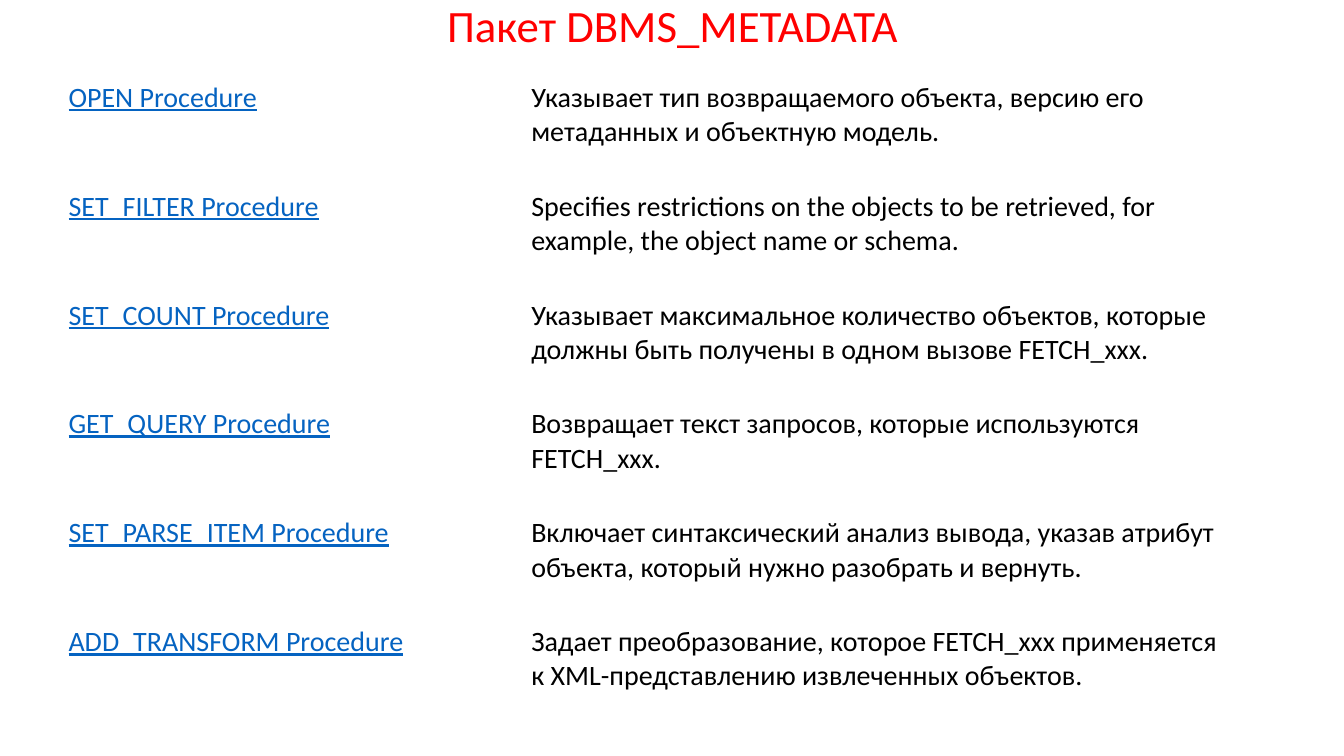
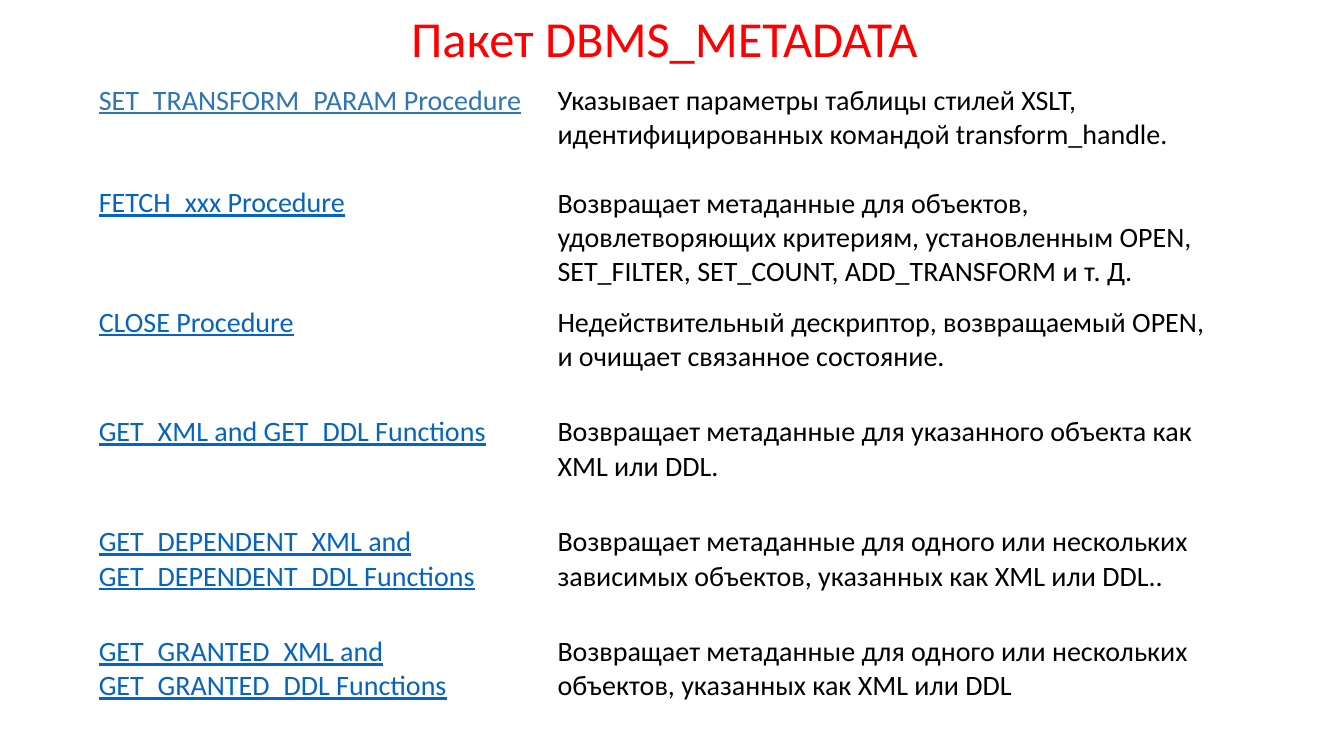
from pptx import Presentation
from pptx.dml.color import RGBColor
from pptx.enum.text import MSO_ANCHOR, MSO_AUTO_SIZE, PP_ALIGN
from pptx.util import Inches, Pt

# Shared look
FONT = "Calibri"
TITLE = "Пакет DBMS_METADATA"
RED, LINK, STEEL, BLACK, WHITE = "FF0000", "0563C1", "2E75B6", "000000", "FFFFFF"
BODY_SIZE = 20
LINE = 24.4  # height of one body line in points
CELL_MARGIN = Inches(0.02)

# Table contents: a cell is one text or a list of paragraphs
OPENING_ROWS = [
    ("OPEN Procedure",
     "Указывает тип возвращаемого объекта, версию его метаданных и объектную модель."),
    ("SET_FILTER Procedure",
     "Specifies restrictions on the objects to be retrieved, for example, "
     "the object name or schema."),
    ("SET_COUNT Procedure",
     "Указывает максимальное количество объектов, которые должны быть получены "
     "в одном вызове FETCH_xxx."),
    ("GET_QUERY Procedure",
     "Возвращает текст запросов, которые используются FETCH_xxx."),
    ("SET_PARSE_ITEM Procedure",
     "Включает синтаксический анализ вывода, указав атрибут объекта, "
     "который нужно разобрать и вернуть."),
    ("ADD_TRANSFORM Procedure",
     "Задает преобразование, которое FETCH_xxx применяется "
     "к XML-представлению извлеченных объектов."),
]
FETCHING_ROWS = [
    (["SET_TRANSFORM_PARAM Procedure", "FETCH_xxx Procedure"],
     ["Указывает параметры таблицы стилей XSLT, идентифицированных "
      "командой transform_handle.",
      "Возвращает метаданные для объектов, удовлетворяющих критериям, установленным "
      "OPEN, SET_FILTER, SET_COUNT, ADD_TRANSFORM и т. Д."]),
    ("CLOSE Procedure",
     "Недействительный дескриптор, возвращаемый OPEN, и очищает связанное состояние."),
    ("GET_XML and GET_DDL Functions",
     "Возвращает метаданные для указанного объекта как XML или DDL."),
    ("GET_DEPENDENT_XML and GET_DEPENDENT_DDL Functions",
     "Возвращает метаданные для одного или нескольких зависимых объектов, "
     "указанных как XML или DDL.."),
    ("GET_GRANTED_XML and GET_GRANTED_DDL Functions",
     "Возвращает метаданные для одного или нескольких объектов, "
     "указанных как XML или DDL"),
]


def rgb(value):
    return RGBColor.from_string(value)


def format_paragraph(p, size, color, underline=False):
    for r in p.runs:
        r.font.name = FONT
        r.font.size = Pt(size)
        r.font.bold = False
        r.font.underline = underline
        r.font.color.rgb = rgb(color)


def add_titled_slide(prs, left, height, size):
    s = prs.slides.add_slide(prs.slide_layouts[5])
    title = s.shapes.title
    title.left, title.top = Inches(left), 0
    title.width, title.height = Inches(11.5), Inches(height)
    tf = title.text_frame
    tf.text = TITLE
    tf.auto_size = MSO_AUTO_SIZE.NONE
    tf.vertical_anchor = MSO_ANCHOR.MIDDLE
    p = tf.paragraphs[0]
    p.alignment = PP_ALIGN.CENTER
    p.line_spacing = 0.9
    format_paragraph(p, size, RED)
    return s


def fill_cell(cell, content, color, underline, gap_lines):
    cell.fill.solid()
    cell.fill.fore_color.rgb = rgb(WHITE)
    cell.margin_left = cell.margin_right = CELL_MARGIN
    cell.margin_top = cell.margin_bottom = CELL_MARGIN
    texts = [content] if isinstance(content, str) else content
    tf = cell.text_frame
    tf.text = "\n".join(texts)
    for i, p in enumerate(tf.paragraphs):
        if i:
            p.space_before = Pt(gap_lines * LINE)
        format_paragraph(p, BODY_SIZE, color, underline)


def add_reference_table(s, left, top, widths, heights, rows):
    frame = s.shapes.add_table(len(rows), len(widths), Inches(left), Inches(top),
                               Inches(sum(widths)), Inches(sum(heights)))
    table = frame.table
    table.first_row = table.horz_banding = False
    for column, width in zip(table.columns, widths):
        column.width = Inches(width)
    for i, (name, description) in enumerate(rows):
        table.rows[i].height = Inches(heights[i])
        # Gaps keep a second name level with its two-line description
        fill_cell(table.cell(i, 0), name, LINK, True, 2)
        fill_cell(table.cell(i, 1), description, BLACK, False, 1)
    return table


def main():
    prs = Presentation()
    prs.slide_width, prs.slide_height = Inches(13.33), Inches(7.5)

    # Opening and filtering
    s = add_titled_slide(prs, 0.92, 0.55, 32)
    add_reference_table(s, 0.66, 0.78, [4.59, 6.99], [1.08] * 5 + [0.94], OPENING_ROWS)

    # Fetching and closing
    s = add_titled_slide(prs, 0.84, 0.81, 36)
    table = add_reference_table(s, 0.96, 0.81, [4.55, 6.59],
                                [2.2] + [1.09] * 3 + [1.12], FETCHING_ROWS)
    first_name = table.cell(0, 0).text_frame.paragraphs[0]
    format_paragraph(first_name, BODY_SIZE, STEEL, True)

    prs.save("out.pptx")


if __name__ == "__main__":
    main()
